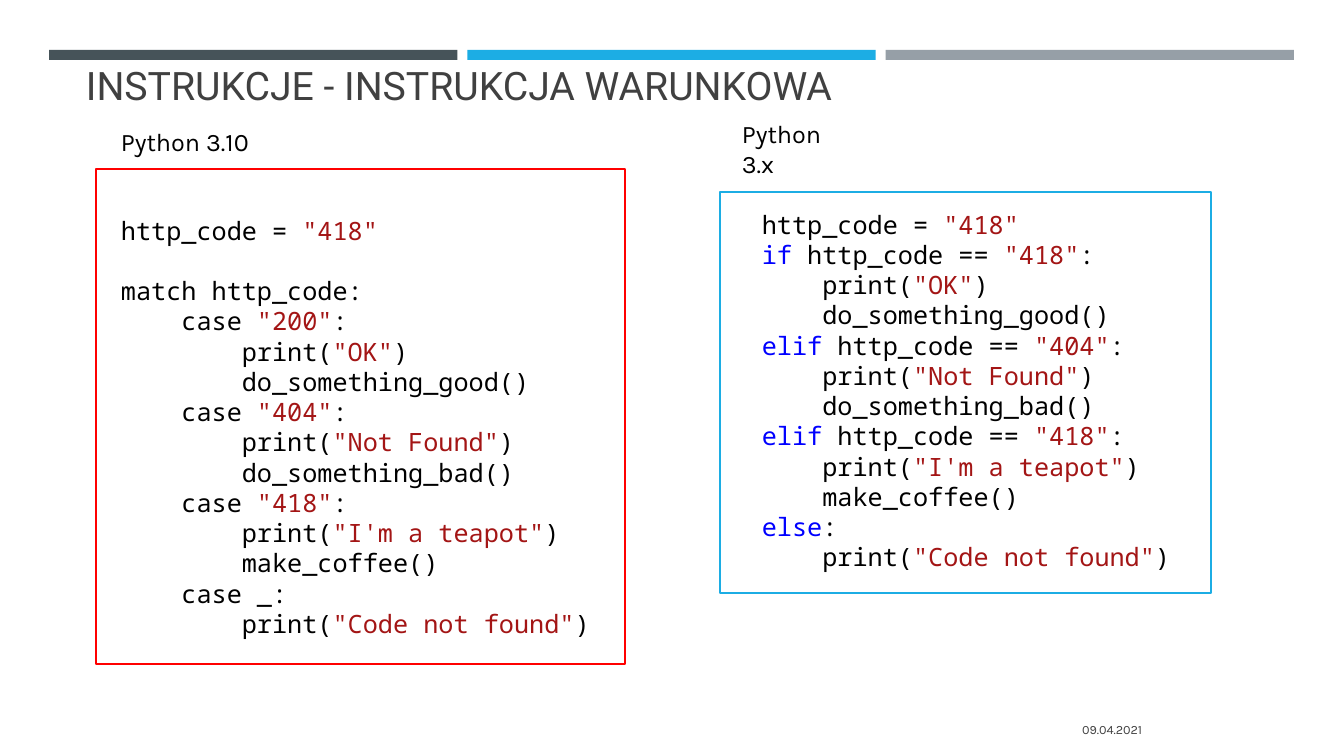
from pptx import Presentation
from pptx.dml.color import RGBColor
from pptx.enum.shapes import MSO_SHAPE
from pptx.enum.text import MSO_ANCHOR, PP_ALIGN
from pptx.util import Emu, Pt

PX = 914400 / 100.8
LINE_PITCH = Pt(21.6)
KEYWORDS = ("if", "elif", "else")
BLACK, GREY, STRING_RED, KEYWORD_BLUE = "000000", "404040", "A31515", "0000FF"
ACCENT = "1CADE4"

MATCH_CODE = '''http_code = "418"

match http_code:
    case "200":
        print("OK")
        do_something_good()
    case "404":
        print("Not Found")
        do_something_bad()
    case "418":
        print("I'm a teapot")
        make_coffee()
    case _:
        print("Code not found")'''

IF_CODE = '''http_code = "418"
if http_code == "418":
    print("OK")
    do_something_good()
elif http_code == "404":
    print("Not Found")
    do_something_bad()
elif http_code == "418":
    print("I'm a teapot")
    make_coffee()
else:
    print("Code not found")'''


def px(n):
    return Emu(round(n * PX))


def rgb(value):
    return RGBColor.from_string(value)


def style(r, font, size, color):
    r.font.name = font
    r.font.size = Pt(size)
    r.font.color.rgb = rgb(color)


def add_rect(s, box, fill=None, line=None):
    sp = s.shapes.add_shape(MSO_SHAPE.RECTANGLE, *map(px, box))
    sp.shadow.inherit = False
    if fill:
        sp.fill.solid()
        sp.fill.fore_color.rgb = rgb(fill)
    else:
        sp.fill.background()
    if line:
        sp.line.color.rgb = rgb(line)
        sp.line.width = Pt(1.75)
    else:
        sp.line.fill.background()


def add_text(s, box, text, font, size, color,
             anchor=MSO_ANCHOR.TOP, align=PP_ALIGN.LEFT):
    tf = s.shapes.add_textbox(*map(px, box)).text_frame
    tf.word_wrap = True
    tf.vertical_anchor = anchor
    p = tf.paragraphs[0]
    p.text = text
    p.alignment = align
    style(p.runs[0], font, size, color)


def tokens(line):
    """Split a code line into (text, colour) pairs."""
    for i, part in enumerate(line.split('"')):
        if i % 2:
            yield f'"{part}"', STRING_RED
            continue
        if i == 0:
            word = part.split()[0].rstrip(":")
            if word in KEYWORDS:
                yield word, KEYWORD_BLUE
                part = part[len(word):]
        if part:
            yield part, BLACK


def add_code(s, box, code):
    tf = s.shapes.add_textbox(*map(px, box)).text_frame
    tf.word_wrap = True
    p, gap = tf.paragraphs[0], False
    for i, line in enumerate(code.split("\n")):
        if not line:
            gap = True
            continue
        if i:
            p = tf.add_paragraph()
        p.line_spacing = LINE_PITCH
        if gap:
            p.space_before = LINE_PITCH
            gap = False
        for text, color in tokens(line):
            r = p.add_run()
            r.text = text
            style(r, "Noto Sans Mono", 18, color)


def add_panel(s, box, color, label, label_box, code, code_box):
    """Framed listing with a label; inner boxes are offset from the frame."""
    x, y = box[:2]

    def inside(part):
        dx, dy, w, h = part
        return x + dx, y + dy, w, h

    add_code(s, inside(code_box), code)
    add_rect(s, box, line=color)
    add_text(s, inside(label_box), label, "Karla", 18, BLACK)


def add_header(s, box, title):
    x, y, w, h = box
    gap = 10
    bar_w = (w - 2 * gap) / 3
    for i, color in enumerate(("465359", ACCENT, "969FA7")):
        add_rect(s, (x + i * (bar_w + gap), y, bar_w, 10), fill=color)
    add_text(s, (x + 27, y - 1, w - 29, h), title, "Roboto", 28, GREY,
             anchor=MSO_ANCHOR.BOTTOM)


def main():
    prs = Presentation()
    prs.slide_width, prs.slide_height = px(1344), px(756)
    s = prs.slides.add_slide(prs.slide_layouts[6])
    add_header(s, (49, 50, 1245, 64), "INSTRUKCJE - INSTRUKCJA WARUNKOWA")
    add_panel(s, (96, 169, 529, 495), "FF0000",
              "Python 3.10", (15, -48, 152, 40),
              MATCH_CODE, (15, 41, 573, 437))
    add_panel(s, (720, 192, 491, 401), ACCENT,
              "Python 3.x", (12, -79, 132, 40),
              IF_CODE, (32, 12, 459, 377))
    add_text(s, (839, 709, 313, 40), "09.04.2021", "Karla", 9, GREY,
             anchor=MSO_ANCHOR.MIDDLE, align=PP_ALIGN.RIGHT)
    prs.save("out.pptx")


if __name__ == "__main__":
    main()
